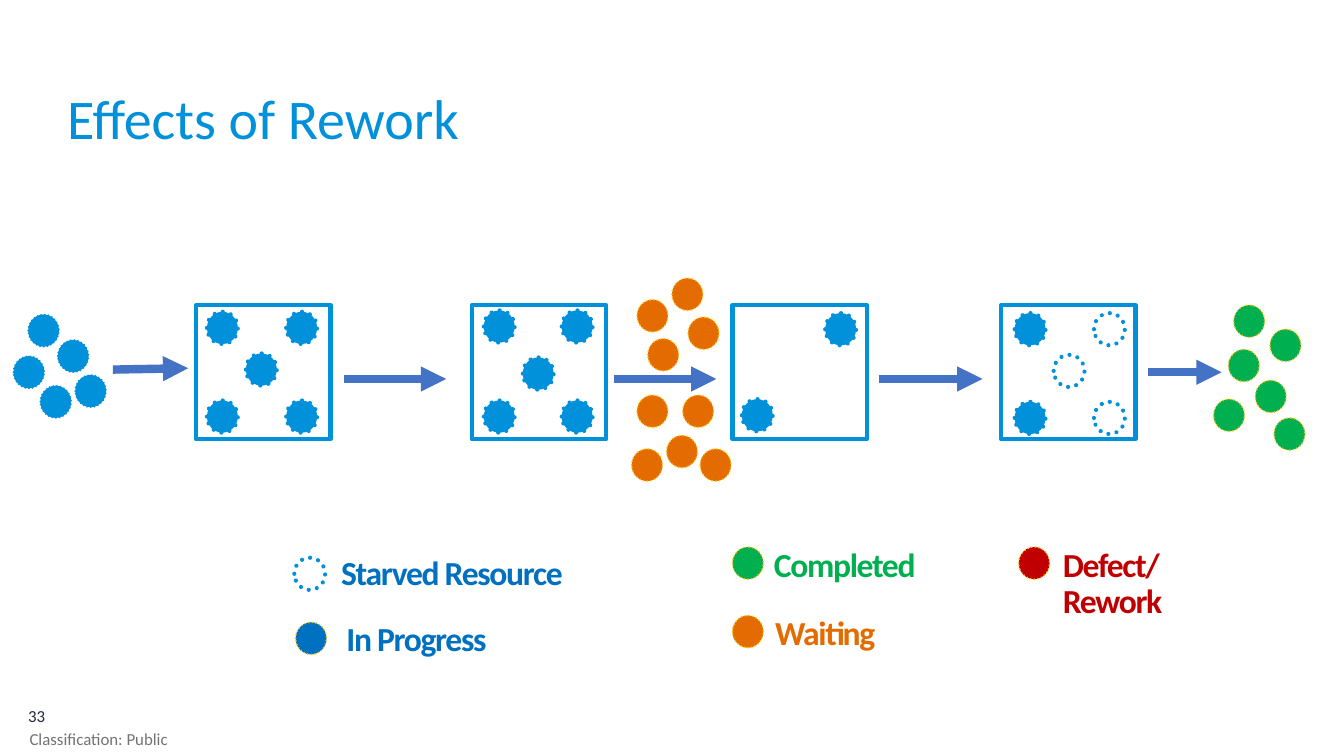
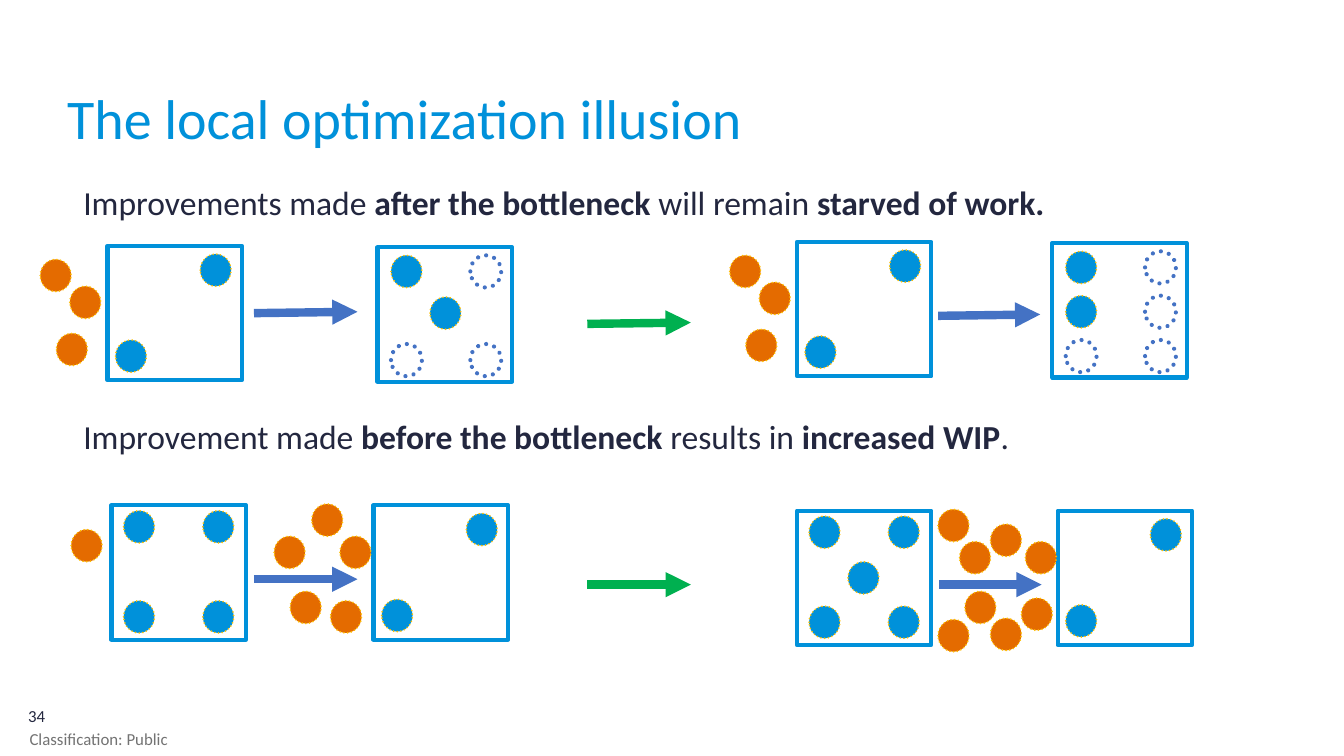
from dataclasses import dataclass
from typing import NamedTuple, Optional

from lxml.etree import SubElement
from pptx import Presentation
from pptx.dml.color import RGBColor
from pptx.enum.dml import MSO_LINE_DASH_STYLE as Dash
from pptx.enum.shapes import MSO_CONNECTOR as Connector, MSO_SHAPE as Shape
from pptx.enum.text import MSO_ANCHOR as Anchor
from pptx.oxml.ns import qn
from pptx.slide import Slide
from pptx.util import Emu, Pt

PX = 9144  # 100 px to the inch
PAGE_WIDTH = 1000
FONT = "Calibri"
COLORS = {
    "sky": "0091DA",
    "blue": "0070C0",
    "arrow": "4472C4",
    "green": "00B050",
    "orange": "E46B00",
    "red": "C00000",
    "gold": "FFC000",
    "ink": "23273F",
    "gray": "737373",
}
BALL_SIZE = (23, 24)
STATION_SIZE = 100


class Style(NamedTuple):
    fill: Optional[str]
    line: str
    width: float = 1


class Ball(NamedTuple):
    x: int
    y: int
    tilt: int = 0


class Arrow(NamedTuple):
    x1: int
    y1: int
    x2: int
    y2: int
    color: str = "arrow"


class Grid(NamedTuple):
    """Places for work inside a station: first place, full span and middle row."""
    left: int
    top: int
    wide: int = 59
    high: int = 66
    middle: int = 33


@dataclass(frozen=True)
class Station:
    """Slots are rows of places: # is busy, o is starved, . is unused."""
    x: int
    y: int
    grid: Grid
    slots: str


@dataclass(frozen=True)
class LegendItem:
    text: str
    color: str
    style: Style
    ball: Ball
    box: tuple[int, int, int, int]


BUSY_DOTTED = Style("sky", "sky", 2.25)
BUSY = Style("sky", "gold")
STARVED_SKY = Style(None, "sky", 2.25)
STARVED = Style(None, "arrow", 2.25)
ARRIVING = Style("sky", "sky")
WAITING = Style("orange", "gold")
COMPLETED = Style("green", "gold")
IN_PROGRESS = Style("blue", "gold")
DEFECT = Style("red", "gold")

FULL = "#.#/.#./#.#"
BOTTLENECK = "..#/.../#.."
BOTTLENECK_GRID = Grid(6, 6, 63, 64)
STARVED_GRID = Grid(10, 6, middle=31)
FEEDER_GRID = Grid(9, 4, high=67, middle=34)

REWORK_STATIONS = [
    Station(146, 227, Grid(8, 5, middle=31), FULL),
    Station(351, 227, Grid(9, 4, 58, 67, 35), FULL),
    Station(545, 227, Grid(7, 6, 62, 64), BOTTLENECK),
    Station(745, 227, STARVED_GRID, "#.o/.o./#.o"),
]
REWORK_ARROWS = [
    Arrow(84, 275, 140, 274),
    Arrow(256, 282, 332, 282),
    Arrow(457, 282, 533, 282),
    Arrow(654, 282, 731, 282),
    Arrow(854, 277, 909, 277),
]
REWORK_ARRIVING = [Ball(10, 265), Ball(43, 253), Ball(30, 287), Ball(56, 279), Ball(21, 234)]
REWORK_WAITING = [
    Ball(508, 294), Ball(512, 236), Ball(482, 252), Ball(496, 324), Ball(474, 223),
    Ball(474, 294), Ball(470, 334), Ball(521, 334), Ball(500, 207),
]
REWORK_COMPLETED = [
    Ball(934, 283), Ball(945, 245), Ball(903, 297), Ball(914, 260), Ball(918, 227), Ball(948, 311),
]
LEGEND = [
    LegendItem("Starved Resource", "blue", STARVED_SKY, Ball(219, 415), (244, 409, 237, 37)),
    LegendItem("In Progress", "blue", IN_PROGRESS, Ball(220, 463), (248, 458, 156, 37)),
    LegendItem("Completed", "green", COMPLETED, Ball(545, 407), (566, 403, 156, 37)),
    LegendItem("Waiting", "orange", WAITING, Ball(545, 458), (567, 454, 156, 37)),
    LegendItem("Defect/Rework", "red", DEFECT, Ball(758, 407), (781, 403, 102, 65)),
]

ILLUSION_STATIONS = [
    Station(80, 183, BOTTLENECK_GRID, BOTTLENECK),
    Station(281, 184, STARVED_GRID, "#.o/.#./o.o"),
    Station(593, 180, BOTTLENECK_GRID, BOTTLENECK),
    Station(783, 181, Grid(10, 6), "#.o/#.o/o.o"),
    Station(83, 376, FEEDER_GRID, "#.#/.../#.#"),
    Station(278, 376, BOTTLENECK_GRID, BOTTLENECK),
    Station(593, 380, FEEDER_GRID, FULL),
    Station(787, 380, BOTTLENECK_GRID, BOTTLENECK),
]
ILLUSION_ARROWS = [
    Arrow(189, 233, 266, 232),
    Arrow(437, 241, 514, 240, "green"),
    Arrow(698, 235, 774, 234),
    Arrow(189, 431, 266, 431),
    Arrow(437, 435, 514, 435, "green"),
    Arrow(699, 435, 775, 435),
]
QUEUE = [Ball(0, 0), Ball(22, 20), Ball(12, 55, 8)]
QUEUE_STARTS = [(30, 193), (543, 190)]
ILLUSION_WAITING = [
    Ball(x + ball.x, y + ball.y, ball.tilt) for x, y in QUEUE_STARTS for ball in QUEUE
] + [
    Ball(53, 394),
    Ball(246, 447, 8), Ball(216, 440), Ball(204, 399), Ball(253, 399), Ball(232, 375),
    Ball(698, 379), Ball(760, 445, 8), Ball(718, 440), Ball(714, 403),
    Ball(763, 403), Ball(737, 390), Ball(698, 461), Ball(737, 460),
]
ILLUSION_TEXT = (
    "Improvements made **after the bottleneck** will remain **starved of work.**\n"
    "Improvement made **before the bottleneck** results in **increased WIP**."
)


def rgb(name: str) -> RGBColor:
    return RGBColor.from_string(COLORS[name])


def px(*values: int) -> list[Emu]:
    return [Emu(value * PX) for value in values]


def add_text(page: Slide, text: str, box: tuple[int, int, int, int], *, size: int,
             color: str, bold: bool = False, anchor: Anchor = Anchor.TOP,
             insets: tuple[int, int] = (0, 0), line_spacing: Optional[float] = None,
             tracking: int = 0, gap: int = 0, indent: int = 0) -> None:
    """Lines become paragraphs, and parts between ** are bold."""
    frame = page.shapes.add_textbox(*px(*box)).text_frame
    frame.word_wrap = True
    frame.vertical_anchor = anchor
    frame.margin_left = frame.margin_right = Emu(insets[0] * PX)
    frame.margin_top = frame.margin_bottom = Emu(insets[1] * PX)
    for row, line in enumerate(text.split("\n")):
        para = frame.add_paragraph() if row else frame.paragraphs[0]
        if indent:
            para._p.get_or_add_pPr().set("marL", str(indent * PX))
        if row:
            para.space_before = Pt(gap)
        if line_spacing:
            para.line_spacing = line_spacing
        for index, part in enumerate(line.split("**")):
            if not part:
                continue
            span = para.add_run()
            span.text = part
            span.font.name = FONT
            span.font.size = Pt(size)
            span.font.bold = bold or index % 2 == 1
            span.font.color.rgb = rgb(color)
            if tracking:
                span.font._element.set("spc", str(tracking))


def add_ball(page: Slide, ball: Ball, style: Style) -> None:
    shape = page.shapes.add_shape(Shape.OVAL, *px(ball.x, ball.y, *BALL_SIZE))
    shape.shadow.inherit = False
    shape.rotation = ball.tilt
    if style.fill:
        shape.fill.solid()
        shape.fill.fore_color.rgb = rgb(style.fill)
    else:
        shape.fill.background()
    shape.line.color.rgb = rgb(style.line)
    shape.line.width = Pt(style.width)
    shape.line.dash_style = Dash.ROUND_DOT
    shape.line._get_or_add_ln().set("cap", "rnd")


def add_balls(page: Slide, balls: list[Ball], style: Style) -> None:
    for ball in balls:
        add_ball(page, ball, style)


def add_station(page: Slide, station: Station, styles: dict[str, Style]) -> None:
    box = page.shapes.add_shape(
        Shape.RECTANGLE, *px(station.x, station.y, STATION_SIZE, STATION_SIZE))
    box.shadow.inherit = False
    box.fill.background()
    box.line.color.rgb = rgb("sky")
    box.line.width = Pt(2.25)
    grid = station.grid
    columns = (0, grid.wide // 2, grid.wide)
    rows = (0, grid.middle, grid.high)
    for row, marks in zip(rows, station.slots.split("/")):
        for column, mark in zip(columns, marks):
            if mark in styles:
                place = Ball(station.x + grid.left + column, station.y + grid.top + row)
                add_ball(page, place, styles[mark])


def add_arrow(page: Slide, arrow: Arrow) -> None:
    ends = px(arrow.x1, arrow.y1, arrow.x2, arrow.y2)
    connector = page.shapes.add_connector(Connector.STRAIGHT, *ends)
    connector.line.color.rgb = rgb(arrow.color)
    connector.line.width = Pt(4.5)
    SubElement(connector.line._get_or_add_ln(), qn("a:tailEnd"), type="triangle")
    SubElement(connector._element.spPr, qn("a:effectLst"))


def add_page(deck: Presentation, title: str, number: int) -> Slide:
    page = deck.slides.add_slide(deck.slide_layouts[6])
    add_text(page, "Classification: Public", (0, 536, 147, 27), size=9, color="gray",
             anchor=Anchor.MIDDLE, indent=22)
    add_text(page, title, (50, 72, 900, 30), size=30, color="sky", line_spacing=0.8)
    add_text(page, str(number), (21, 510, 29, 30), size=9, color="ink", anchor=Anchor.BOTTOM)
    return page


def add_flow(page: Slide, stations: list[Station], arrows: list[Arrow],
             waiting: list[Ball], styles: dict[str, Style]) -> None:
    for station in stations:
        add_station(page, station, styles)
    add_balls(page, waiting, WAITING)
    for arrow in arrows:
        add_arrow(page, arrow)


def build_rework(deck: Presentation) -> None:
    page = add_page(deck, "Effects of Rework", 33)
    add_flow(page, REWORK_STATIONS, REWORK_ARROWS, REWORK_WAITING,
             {"#": BUSY_DOTTED, "o": STARVED_SKY})
    add_balls(page, REWORK_ARRIVING, ARRIVING)
    add_balls(page, REWORK_COMPLETED, COMPLETED)
    for item in LEGEND:
        add_ball(page, item.ball, item.style)
        add_text(page, item.text, item.box, size=18, color=item.color, bold=True,
                 insets=(10, 5), line_spacing=0.9, tracking=-70)


def build_illusion(deck: Presentation) -> None:
    page = add_page(deck, "The local optimization illusion", 34)
    add_text(page, ILLUSION_TEXT, (50, 135, 972, 385), size=18, color="ink", gap=104, indent=12)
    add_flow(page, ILLUSION_STATIONS, ILLUSION_ARROWS, ILLUSION_WAITING,
             {"#": BUSY, "o": STARVED})


def main() -> None:
    deck = Presentation()
    deck.slide_width = Emu(PAGE_WIDTH * PX)
    deck.slide_height = Emu(PAGE_WIDTH * PX * 9 // 16)
    build_rework(deck)
    build_illusion(deck)
    deck.save("out.pptx")


if __name__ == "__main__":
    main()
